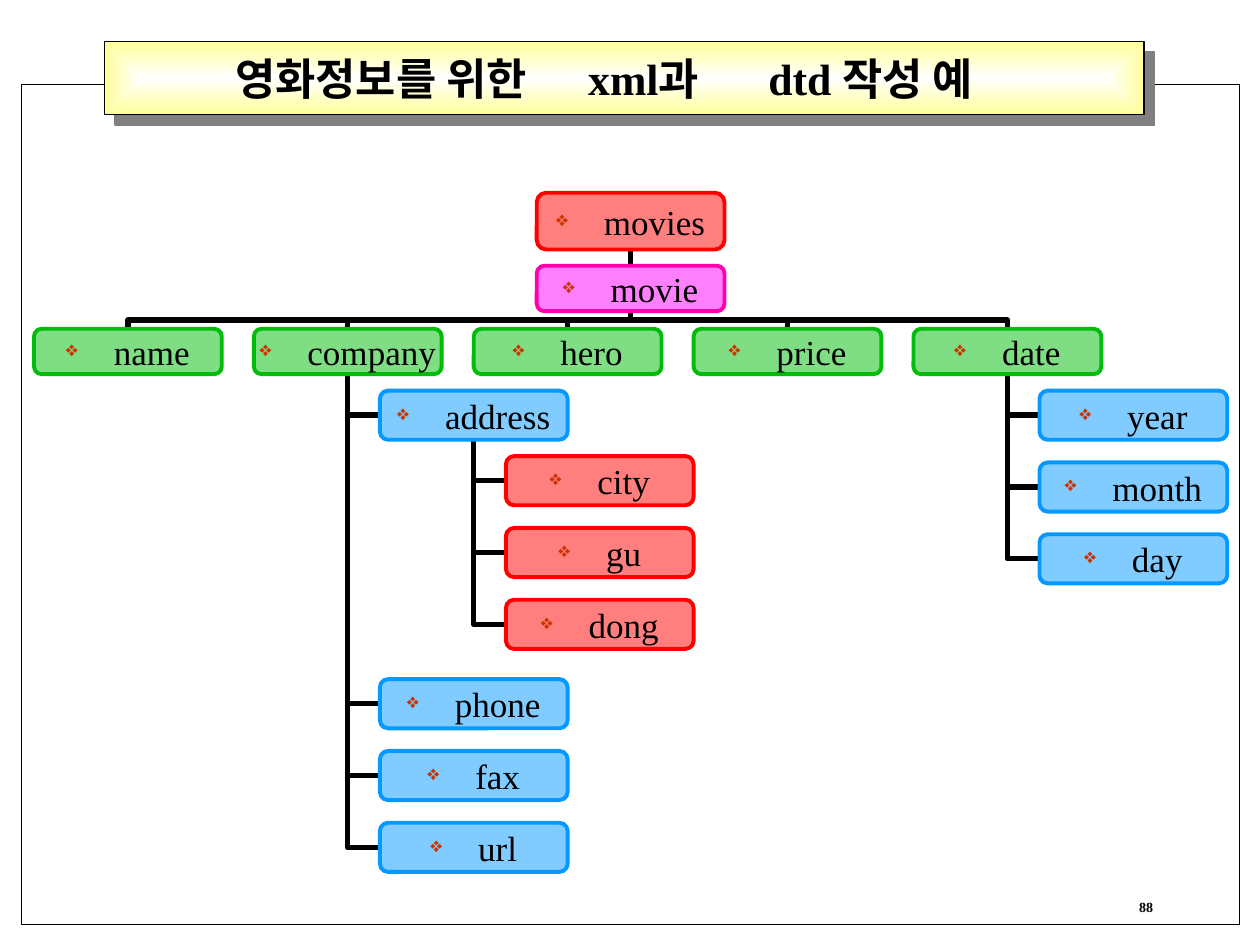
"""Build a slide that shows the element tree of a movie XML document."""
import dataclasses
import typing

import lxml.etree
import pptx
import pptx.dml.color
import pptx.enum.dml
import pptx.enum.shapes
import pptx.enum.text
import pptx.oxml.ns
import pptx.util

Inches = pptx.util.Inches
Pt = pptx.util.Pt
qn = pptx.oxml.ns.qn
SHAPES = pptx.enum.shapes.MSO_SHAPE
CONNECTORS = pptx.enum.shapes.MSO_CONNECTOR
ALIGN = pptx.enum.text.PP_ALIGN
ANCHOR = pptx.enum.text.MSO_ANCHOR

COLORS = {
    "black": "000000", "white": "FFFFFF", "yellow": "FFFF99", "gray": "808080",
    "red": "FF0000", "magenta": "FF00FF", "pink": "FF00AD",
    "green": "01BD0A", "blue": "0399FF", "bullet": "CC3300",
}
FONT = "Times New Roman"
NODE_WIDTH = 1.49
BRANCH_INDENT = 1.0
ROW_STEP = 0.57
COLUMN_STEP = 1.745


@dataclasses.dataclass(frozen=True)
class Node:
    """One element of the tree, with its place in inches."""
    label: str
    left: float
    top: float
    height: float
    fill: str
    line: str

    @property
    def center(self) -> float:
        return self.left + NODE_WIDTH / 2

    @property
    def middle(self) -> float:
        return self.top + self.height / 2

    @property
    def bottom(self) -> float:
        return self.top + self.height


def rgb(name: str) -> pptx.dml.color.RGBColor:
    return pptx.dml.color.RGBColor.from_string(COLORS[name])


def apply(target: typing.Any, values: dict) -> None:
    for name, value in values.items():
        setattr(target, name, value)


def add_xml(parent: typing.Any, tag: str, **attributes: str) -> typing.Any:
    return lxml.etree.SubElement(parent, qn(tag), attributes)


def add_box(slide, kind, left: float, top: float, width: float, height: float,
            fill: str, line: str, line_width: float):
    shape = slide.shapes.add_shape(
        kind, Inches(left), Inches(top), Inches(width), Inches(height))
    shape.shadow.inherit = False
    shape.fill.solid()
    shape.fill.fore_color.rgb = rgb(fill)
    shape.line.color.rgb = rgb(line)
    shape.line.width = Pt(line_width)
    return shape


def add_run(paragraph, text: str, size: float, bold: bool = False) -> None:
    run = paragraph.add_run()
    run.text = text
    apply(run.font, {"name": FONT, "size": Pt(size), "bold": bold})
    run.font.color.rgb = rgb("black")


def add_label(slide, text: str, left: float, top: float, width: float, height: float,
              size: float, alignment, tabs: tuple = ()) -> None:
    label = slide.shapes.add_textbox(
        Inches(left), Inches(top), Inches(width), Inches(height))
    label.text_frame.word_wrap = True
    paragraph = label.text_frame.paragraphs[0]
    paragraph.alignment = alignment
    if tabs:
        tab_list = add_xml(paragraph._p.get_or_add_pPr(), "a:tabLst")
        for position in tabs:
            add_xml(tab_list, "a:tab", pos=str(Inches(position)), algn="l")
    add_run(paragraph, text, size, bold=True)


def add_banner(slide) -> None:
    banner = add_box(slide, SHAPES.RECTANGLE, 0.83, 0.33, 8.25, 0.58, "yellow", "black", 0.75)
    banner.fill.gradient()
    for stop, name in zip(banner.fill.gradient_stops, ("white", "yellow")):
        stop.color.rgb = rgb(name)
    properties = banner._element.spPr
    gradient = properties.find(qn("a:gradFill"))
    gradient.remove(gradient.find(qn("a:lin")))
    outline = add_xml(gradient, "a:path", path="rect")
    add_xml(outline, "a:fillToRect", l="50000", t="50000", r="50000", b="50000")
    shadow = add_xml(properties.find(qn("a:effectLst")), "a:outerShdw",
                     dist=str(Pt(8.5)), dir="2700000", algn="ctr", rotWithShape="0")
    add_xml(shadow, "a:srgbClr", val=COLORS["gray"])


def add_node(slide, node: Node):
    shape = add_box(slide, SHAPES.ROUNDED_RECTANGLE, node.left, node.top, NODE_WIDTH,
                    node.height, node.fill, node.line, 2.25)
    shape.adjustments[0] = 0.167
    color = shape._element.spPr.find(qn("a:solidFill")).find(qn("a:srgbClr"))
    add_xml(color, "a:alpha", val="50000")
    apply(shape.text_frame, {
        "word_wrap": False, "vertical_anchor": ANCHOR.MIDDLE,
        "margin_left": Inches(0.05), "margin_right": Inches(0.05),
        "margin_top": Inches(0.02), "margin_bottom": Inches(0.02)})
    paragraph = shape.text_frame.paragraphs[0]
    paragraph.alignment = ALIGN.CENTER
    properties = paragraph._p.get_or_add_pPr()
    properties.set("marL", str(Inches(0.38)))
    properties.set("indent", str(Inches(-0.38)))
    add_xml(add_xml(properties, "a:buClr"), "a:srgbClr", val=COLORS["bullet"])
    add_xml(properties, "a:buSzPct", val="60000")
    add_xml(properties, "a:buChar", char="❖")
    add_run(paragraph, node.label, 20)
    return shape


def add_link(slide, kind, start: tuple, end: tuple):
    connector = slide.shapes.add_connector(kind, *(Inches(value) for value in start + end))
    connector.line.color.rgb = rgb("black")
    connector.line.width = Pt(3)
    add_xml(connector._element.spPr, "a:effectLst")
    return connector


def link_side(slide, parent: Node, child: Node) -> None:
    connector = add_link(slide, CONNECTORS.ELBOW, (child.left, child.middle),
                         (parent.center, parent.bottom))
    connector._element.spPr.find(qn("a:prstGeom")).set("prst", "bentConnector2")


def link_top(slide, parent: Node, child: Node) -> None:
    gap = child.top - parent.bottom
    span = parent.center - child.center
    center = (parent.center + child.center) / 2
    middle = (parent.bottom + child.top) / 2
    connector = add_link(slide, CONNECTORS.ELBOW, (center - gap / 2, middle - span / 2),
                         (center + gap / 2, middle + span / 2))
    connector._element.spPr.find(qn("a:xfrm")).set("rot", str(270 * 60000))


def make_branch(parent: Node, labels: tuple, top: float, color: str) -> list[Node]:
    return [Node(label, parent.left + BRANCH_INDENT, top + row * ROW_STEP, 0.39, color, color)
            for row, label in enumerate(labels)]


def main() -> None:
    presentation = pptx.Presentation()
    presentation.slide_width, presentation.slide_height = Inches(10), Inches(7.5)
    slide = presentation.slides.add_slide(presentation.slide_layouts[6])
    add_box(slide, SHAPES.RECTANGLE, 0.17, 0.67, 9.67, 6.67, "white", "black", 0.75)
    add_banner(slide)
    add_label(slide, "88", 7.17, 7.08, 2.08, 0.25, 8, ALIGN.RIGHT)

    movies = Node("movies", 4.26, 1.53, 0.45, "red", "red")
    movie = Node("movie", 4.26, 2.11, 0.36, "magenta", "pink")
    fields = [Node(label, 0.27 + column * COLUMN_STEP, 2.61, 0.36, "green", "green")
              for column, label in enumerate(("name", "company", "hero", "price", "date"))]
    company, date = fields[1], fields[4]
    addresses = make_branch(company, ("address",), 3.1, "blue")
    contacts = make_branch(company, ("phone", "fax", "url"), 5.39, "blue")
    places = make_branch(addresses[0], ("city", "gu", "dong"), 3.62, "red")
    days = make_branch(date, ("year", "month", "day"), 3.1, "blue")

    for parent, children in ((date, days), (addresses[0], places),
                             (company, addresses + contacts)):
        for child in children:
            link_side(slide, parent, child)
    for field in fields:
        link_top(slide, movie, field)
    stem = add_link(slide, CONNECTORS.STRAIGHT, (movie.center, movie.top),
                    (movies.center, movies.bottom))
    nodes = [movies, movie, *fields, *addresses, *contacts, *places, *days]
    shapes = {node.label: add_node(slide, node) for node in nodes}
    stem.begin_connect(shapes["movie"], 0)
    stem.end_connect(shapes["movies"], 2)

    add_label(slide, "영화정보를 위한\txml과\tdtd 작성 예", 1.77, 0.36, 6.91, 0.52, 25,
              ALIGN.LEFT, (2.8, 4.23))
    presentation.save("out.pptx")


if __name__ == "__main__":
    main()
